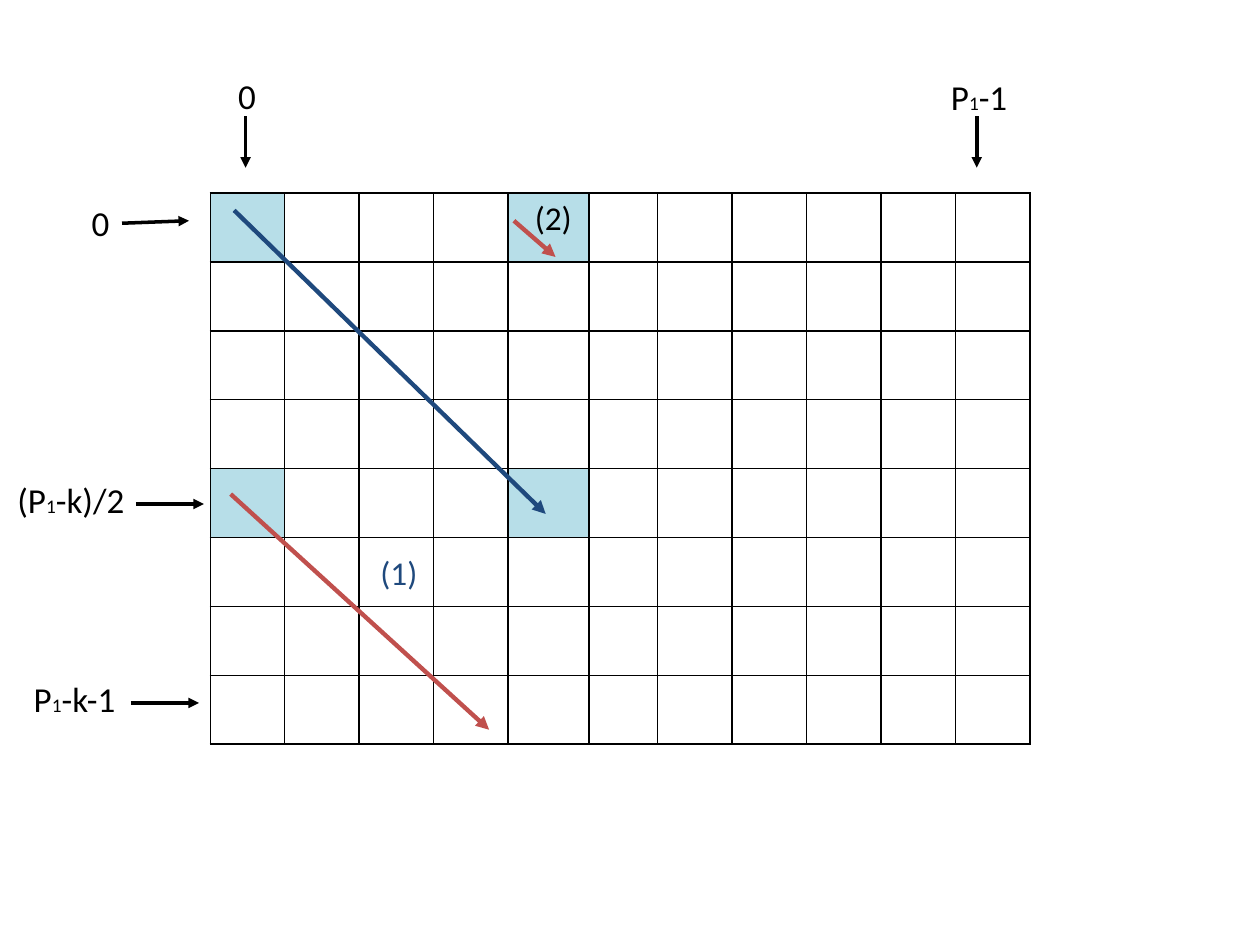
from itertools import product

from lxml.etree import SubElement
from pptx import Presentation
from pptx.dml.color import RGBColor
from pptx.enum.shapes import MSO_CONNECTOR as Connector, MSO_SHAPE as Shape
from pptx.enum.text import MSO_ANCHOR as Anchor, MSO_AUTO_SIZE as AutoSize, PP_ALIGN as Align
from pptx.oxml import parse_xml
from pptx.oxml.ns import nsdecls, qn
from pptx.util import Cm, Pt

BLACK = RGBColor(0x00, 0x00, 0x00)
WHITE = RGBColor(0xFF, 0xFF, 0xFF)
LIGHT_BLUE = RGBColor(0xB7, 0xDE, 0xE8)
NAVY = RGBColor(0x1F, 0x49, 0x7D)
RED = RGBColor(0xC0, 0x50, 0x4D)

ROWS, COLUMNS = 8, 11
COLUMN_WIDTH, ROW_HEIGHT = 1.5, 1.39
SPECIAL_WIDTHS = {4: 1.63, 5: 1.39}
SHADED_CELLS = {(0, 0), (0, 4), (4, 0), (4, 4)}
LABEL_HEIGHT = 1.12


def apply_format(target, values):
    for name, value in values.items():
        setattr(target, name, value)


def add_run(paragraph, text, size, color=BLACK):
    run = paragraph.add_run()
    run.text = text
    apply_format(run.font, {"name": "Calibri", "size": Pt(size)})
    run.font.color.rgb = color


def add_label(slide, left, top, width, parts):
    box = slide.shapes.add_textbox(Cm(left), Cm(top), Cm(width), Cm(LABEL_HEIGHT))
    apply_format(box.text_frame, {"word_wrap": False, "auto_size": AutoSize.SHAPE_TO_FIT_TEXT})
    for text, size in zip(parts, (20, 11, 20)):
        add_run(box.text_frame.paragraphs[0], text, size)


def add_arrow(slide, start, end, color=BLACK, width=2):
    arrow = slide.shapes.add_connector(Connector.STRAIGHT, *map(Cm, start + end))
    arrow.line.color.rgb = color
    arrow.line.width = Pt(width)
    SubElement(arrow.line._get_or_add_ln(), qn("a:tailEnd"), type="triangle")
    SubElement(arrow._element.spPr, qn("a:effectLst"))


def add_borders(cell):
    properties = cell._tc.get_or_add_tcPr()
    for index, side in enumerate(("lnL", "lnR", "lnT", "lnB")):
        border = parse_xml(
            f'<a:{side} {nsdecls("a")} w="{Pt(1)}"><a:solidFill>'
            f'<a:srgbClr val="{BLACK}"/></a:solidFill></a:{side}>'
        )
        properties.insert(index, border)


def build_grid(slide, left, top):
    widths = [SPECIAL_WIDTHS.get(column, COLUMN_WIDTH) for column in range(COLUMNS)]
    size = Cm(sum(widths)), Cm(ROWS * ROW_HEIGHT)
    table = slide.shapes.add_table(ROWS, COLUMNS, Cm(left), Cm(top), *size).table
    apply_format(table, {"first_row": False, "horz_banding": False})
    for column, width in zip(table.columns, widths):
        column.width = Cm(width)
    for row in table.rows:
        row.height = Cm(ROW_HEIGHT)
    for position in product(range(ROWS), range(COLUMNS)):
        cell = table.cell(*position)
        if position in SHADED_CELLS:
            cell.fill.solid()
            cell.fill.fore_color.rgb = LIGHT_BLUE
        else:
            cell.fill.background()
        add_borders(cell)
    numbered_cell = table.cell(0, 4)
    numbered_cell.margin_left = Cm(0.54)
    add_run(numbered_cell.text_frame.paragraphs[0], "(2)", 19)


def build_column_markers(slide, left, top):
    markers = [
        (0, 0, 0.86, ("0",), 0.4),
        (14.37, 0.03, 1.68, ("P", "1", "-1"), 15.14),
    ]
    for x, y, width, parts, arrow_x in markers:
        add_label(slide, left + x, top + y, width, parts)
        add_arrow(slide, (left + arrow_x, top + 0.97), (left + arrow_x, top + 2.01))


def build_row_markers(slide, left, top):
    markers = [
        (1.5, 0, 0.86, ("0",), (2.36, 0.56), (3.71, 0.51)),
        (0, 5.59, 2.72, ("(P", "1", "-k)/2"), (2.64, 6.22), (4.01, 6.22)),
        (0.33, 9.6, 2.26, ("P", "1", "-k-1"), (2.54, 10.23), (3.91, 10.23)),
    ]
    for x, y, width, parts, start, end in markers:
        add_label(slide, left + x, top + y, width, parts)
        add_arrow(slide, (left + start[0], top + start[1]), (left + end[0], top + end[1]))


def build_diagonals(slide, left, top):
    diagonals = [
        ((0.48, 0.35), (6.76, 6.47), NAVY),
        ((0.41, 6.07), (5.62, 10.82), RED),
        ((6.12, 0.56), (6.96, 1.29), RED),
    ]
    for start, end, color in diagonals:
        add_arrow(slide, (left + start[0], top + start[1]),
                  (left + end[0], top + end[1]), color, 2.5)
    shape = slide.shapes.add_shape(
        Shape.RECTANGLE, Cm(left + 3.18), Cm(top + 7.11), Cm(1.27), Cm(1.07))
    shape.shadow.inherit = False
    shape.fill.solid()
    shape.fill.fore_color.rgb = WHITE
    shape.line.fill.background()
    apply_format(shape.text_frame, {
        "word_wrap": True,
        "auto_size": AutoSize.SHAPE_TO_FIT_TEXT,
        "vertical_anchor": Anchor.TOP,
    })
    paragraph = shape.text_frame.paragraphs[0]
    paragraph.alignment = Align.LEFT
    add_run(paragraph, "(1)", 19, NAVY)


def main():
    presentation = Presentation()
    apply_format(presentation, {"slide_width": Cm(25.4), "slide_height": Cm(19.05)})
    slide = presentation.slides.add_slide(presentation.slide_layouts[6])
    build_grid(slide, 4.24, 3.89)
    build_column_markers(slide, 4.55, 1.37)
    build_row_markers(slide, 0.1, 3.94)
    build_diagonals(slide, 4.24, 3.89)
    presentation.save("out.pptx")


if __name__ == "__main__":
    main()
